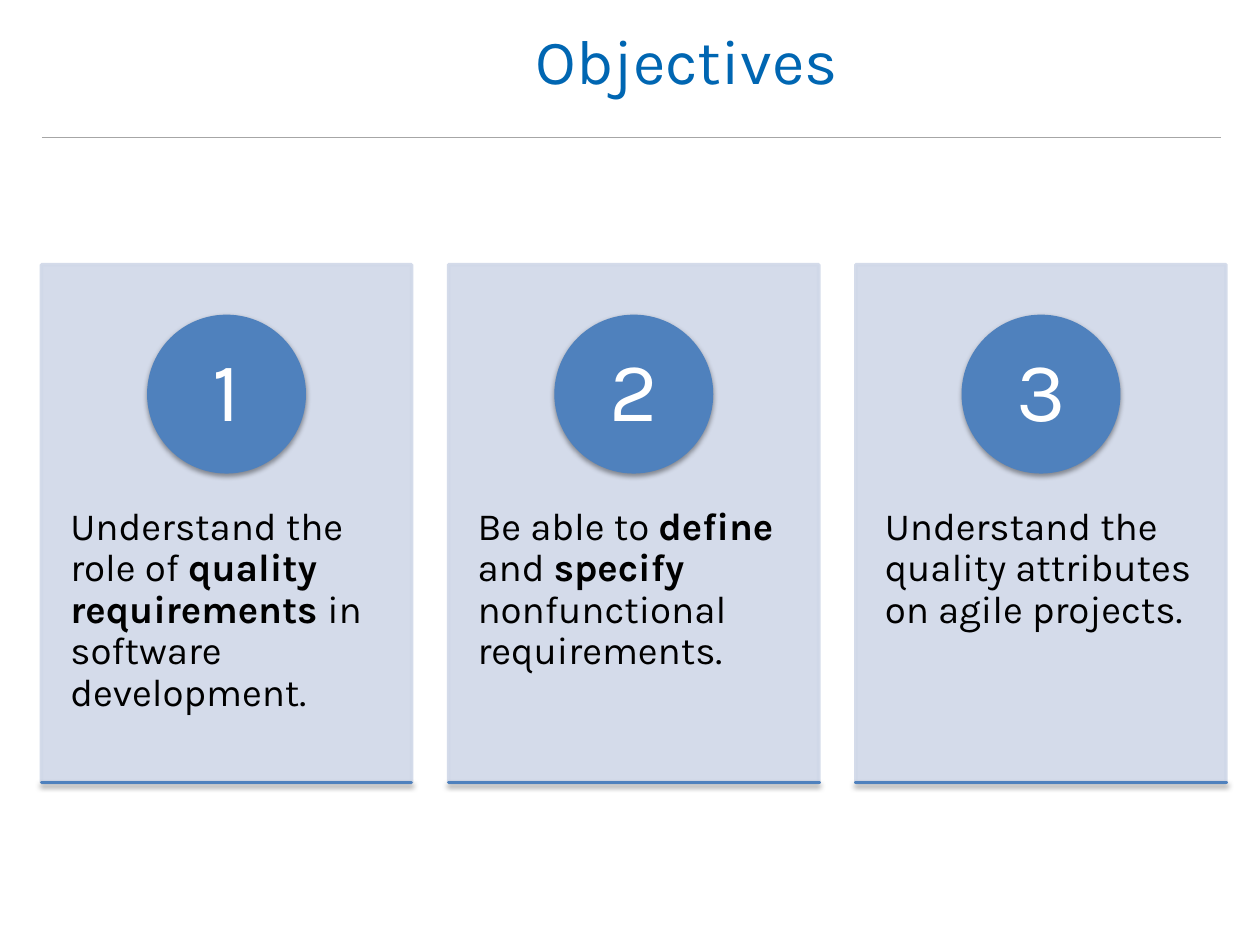
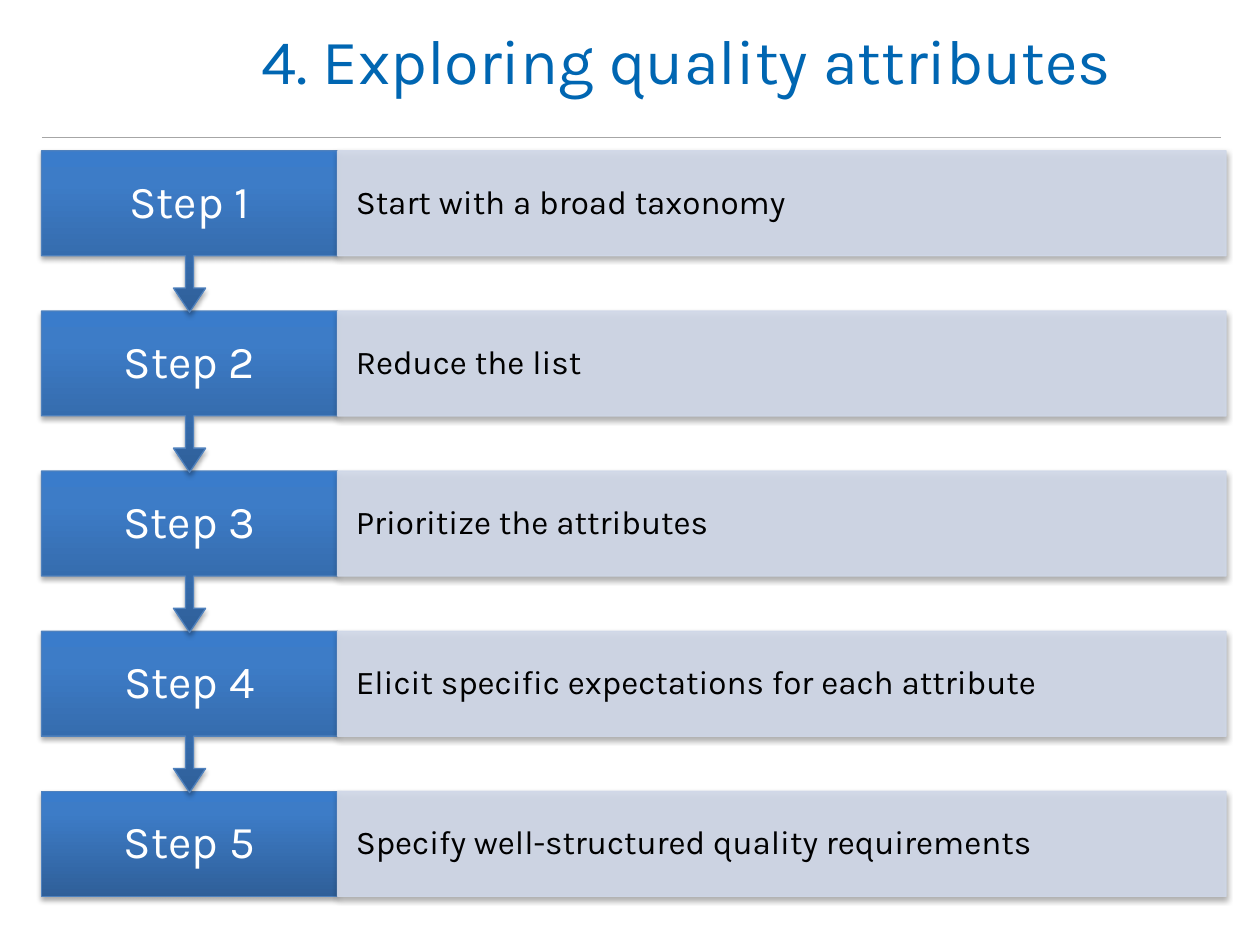
import lxml.etree
import pptx
import pptx.dml.color
import pptx.enum.shapes
import pptx.enum.text
import pptx.oxml
import pptx.oxml.ns
import pptx.util

OBJECTIVES_TITLE = "Objectives"
OBJECTIVES = [
    [("Understand the role of ", False), ("quality requirements ", True),
     ("in software development.", False)],
    [("Be able to ", False), ("define", True), (" and ", False),
     ("specify", True), (" nonfunctional requirements.", False)],
    [("Understand the quality attributes on agile projects.", False)],
]
STEPS_TITLE = "4. Exploring quality attributes"
STEPS = [
    "Start with a broad taxonomy",
    "Reduce the list",
    "Prioritize the attributes",
    "Elicit specific expectations for each attribute",
    "Specify well-structured quality requirements",
]

COLORS = {
    "title": "0066B2",
    "rule": "A6A6A6",
    "accent": "4F81BD",
    "panel": "D0D8E8",
    "step dark": "2F5F99",
    "step middle": "3D7CC7",
    "step light": "3A7CCB",
    "black": "000000",
    "white": "FFFFFF",
}
STEP_GRADIENT = [(0, "step dark"), (80, "step middle"), (100, "step light")]
FONT = "Karla"
LEFT, RIGHT = 23.7, 700.6
PANEL_OPACITY = 90

Pt = pptx.util.Pt
SHAPES = pptx.enum.shapes.MSO_SHAPE
ALIGN = pptx.enum.text.PP_ALIGN
ANCHOR = pptx.enum.text.MSO_ANCHOR


def rgb(name):
    return pptx.dml.color.RGBColor.from_string(COLORS[name])


def add_child(parent, tag, **attributes):
    child = lxml.etree.SubElement(parent, pptx.oxml.ns.qn(tag))
    for key, value in attributes.items():
        child.set(key, str(value))
    return child


def write_text(shape, text, size, color="black", align=ALIGN.LEFT,
               anchor=ANCHOR.MIDDLE, inset=(7.2, 3.6), line_spacing=0.9):
    frame = shape.text_frame
    frame.word_wrap = True
    frame.auto_size = pptx.enum.text.MSO_AUTO_SIZE.NONE
    frame.vertical_anchor = anchor
    frame.margin_left = frame.margin_right = Pt(inset[0])
    frame.margin_top = frame.margin_bottom = Pt(inset[1])
    para = frame.paragraphs[0]
    para.alignment = align
    para.line_spacing = line_spacing
    for words, bold in [(text, False)] if isinstance(text, str) else text:
        span = para.add_run()
        span.text = words
        span.font.name = FONT
        span.font.size = Pt(size)
        span.font.bold = bold
        span.font.color.rgb = rgb(color)


def add_box(page, left, top, width, height):
    return page.shapes.add_textbox(Pt(left), Pt(top), Pt(width), Pt(height))


def fill_with_gradient(shape, stops):
    shape.fill.background()
    properties = shape._element.spPr
    gradient = pptx.oxml.parse_xml(
        f'<a:gradFill {pptx.oxml.ns.nsdecls("a")} rotWithShape="0"/>')
    stop_list = add_child(gradient, "a:gsLst")
    for percent, color in stops:
        stop = add_child(stop_list, "a:gs", pos=percent * 1000)
        add_child(stop, "a:srgbClr", val=COLORS[color])
    add_child(gradient, "a:lin", ang=270 * 60000, scaled=0)
    properties.replace(properties.find(pptx.oxml.ns.qn("a:noFill")), gradient)


def add_shadow(shape, distance, opacity):
    effects = shape._element.spPr.find(pptx.oxml.ns.qn("a:effectLst"))
    shadow = add_child(effects, "a:outerShdw", blurRad=Pt(3.1),
                       dist=Pt(distance), dir=90 * 60000, rotWithShape=0)
    color = add_child(shadow, "a:srgbClr", val=COLORS["black"])
    add_child(color, "a:alpha", val=opacity * 1000)


def add_figure(page, kind, left, top, width, height, color="accent",
               line_width=2, opacity=100, gradient=None, shadow=None):
    shape = page.shapes.add_shape(kind, Pt(left), Pt(top), Pt(width), Pt(height))
    shape.shadow.inherit = False
    shape.line.color.rgb = rgb(color)
    shape.line.width = Pt(line_width)
    if gradient:
        fill_with_gradient(shape, gradient)
    else:
        shape.fill.solid()
        shape.fill.fore_color.rgb = rgb(color)
    if opacity < 100:
        for paint in shape._element.spPr.iter(pptx.oxml.ns.qn("a:srgbClr")):
            add_child(paint, "a:alpha", val=opacity * 1000)
    if shadow:
        add_shadow(shape, *shadow)
    return shape


def add_page(deck, title):
    page = deck.slides.add_slide(deck.slide_layouts[5])
    rule = page.shapes.add_connector(pptx.enum.shapes.MSO_CONNECTOR.STRAIGHT,
                                     Pt(24), Pt(78.5), Pt(697.7), Pt(78.5))
    rule.line.color.rgb = rgb("rule")
    rule.line.width = Pt(0.75)
    add_child(rule._element.spPr, "a:effectLst")
    heading = page.shapes.title
    heading.left, heading.top = Pt(84.2), Pt(0.7)
    heading.width, heading.height = Pt(616.3), Pt(75)
    write_text(heading, title, size=36, color="title", align=ALIGN.CENTER,
               line_spacing=0.8)
    return page


def add_objectives(deck):
    page = add_page(deck, OBJECTIVES_TITLE)
    width, top, height, circle = 211.5, 151.2, 296, 88.8
    pitch = (RIGHT - LEFT - width) / (len(OBJECTIVES) - 1)
    shadow = (1.6, 38)
    for index, objective in enumerate(OBJECTIVES):
        left = LEFT + index * pitch
        add_figure(page, SHAPES.RECTANGLE, left, top, width, height,
                   color="panel", opacity=PANEL_OPACITY)
        write_text(add_box(page, left, top + 112.5, width, 177.6), objective,
                   size=22, anchor=ANCHOR.TOP, inset=(16.5, 26))
        badge = add_figure(page, SHAPES.OVAL, left + (width - circle) / 2,
                           top + 29.6, circle, circle, shadow=shadow)
        write_text(badge, str(index + 1), size=48, color="white",
                   align=ALIGN.CENTER, inset=(7, 1))
        add_figure(page, SHAPES.RECTANGLE, left, top + height, width, 0,
                   shadow=shadow)


def add_steps(deck):
    page = add_page(deck, STEPS_TITLE)
    first_top, pitch, label_width, height, callout = 86.2, 91.5, 169.2, 60, 92.2
    detail_left = LEFT + label_width
    style = {"line_width": 0.75, "shadow": (1.8, 35)}
    for index, step in reversed(list(enumerate(STEPS))):
        top = first_top + index * pitch
        if index == len(STEPS) - 1:
            add_figure(page, SHAPES.RECTANGLE, LEFT, top, label_width, height,
                       gradient=STEP_GRADIENT, **style)
        else:
            arrow = add_figure(page, SHAPES.UP_ARROW_CALLOUT, LEFT, top,
                               label_width, callout, gradient=STEP_GRADIENT, **style)
            arrow.rotation = 180
            for position, value in enumerate((0.05, 0.1, 0.15, 0.65)):
                arrow.adjustments[position] = value
        write_text(add_box(page, LEFT, top, label_width, height),
                   f"Step {index + 1}", size=26, color="white",
                   align=ALIGN.CENTER, inset=(12, 14))
        detail = add_figure(page, SHAPES.RECTANGLE, detail_left, top,
                            RIGHT - detail_left, height, color="panel",
                            opacity=PANEL_OPACITY, **style)
        write_text(detail, step, size=19, inset=(10.4, 18))


def main():
    deck = pptx.Presentation()
    deck.slide_width, deck.slide_height = Pt(720), Pt(540)
    add_objectives(deck)
    add_steps(deck)
    deck.save("out.pptx")


if __name__ == "__main__":
    main()
